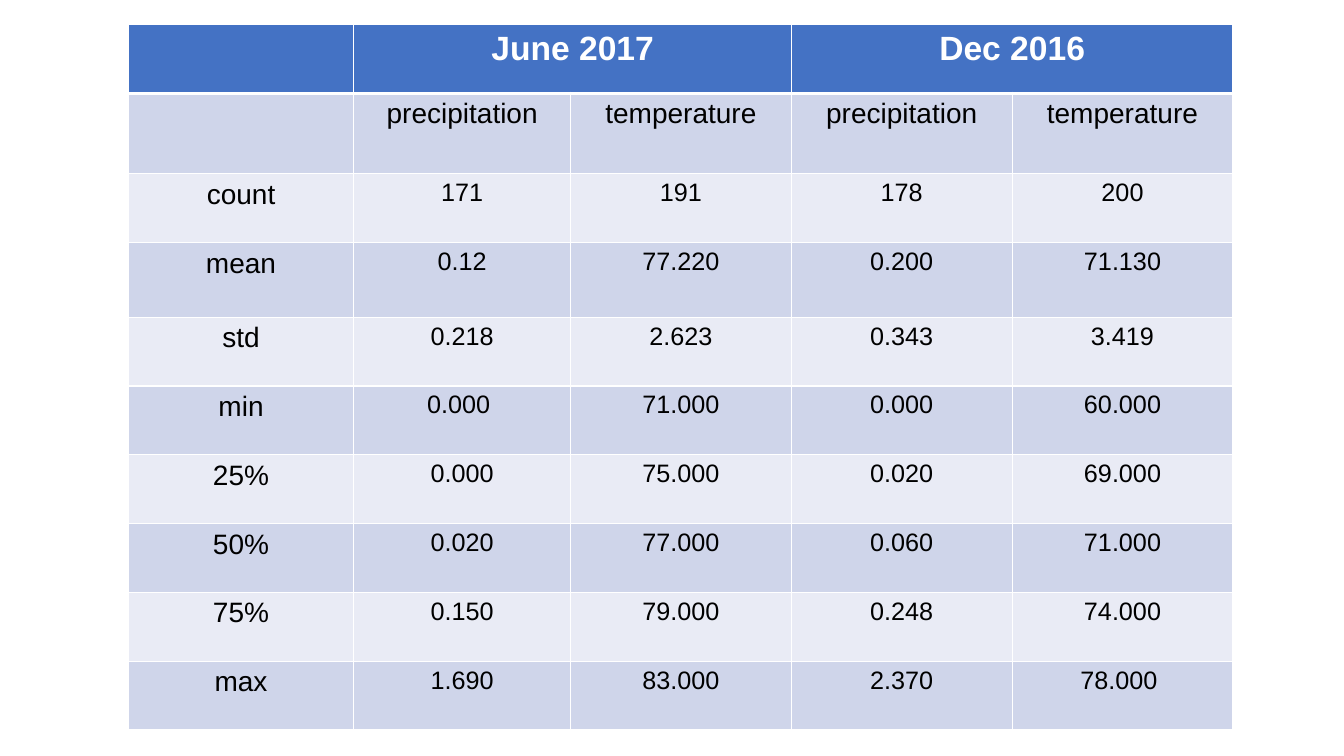
from lxml.etree import SubElement
from pptx import Presentation
from pptx.dml.color import RGBColor as RGB
from pptx.enum.text import PP_ALIGN as Align
from pptx.oxml.ns import qn
from pptx.util import Pt

# Content
MONTHS = ["June 2017", "Dec 2016"]
MEASURES = ["precipitation", "temperature"]
STATS = [
    ("count", "171", "191", "178", "200"),
    ("mean", "0.12", "77.220", "0.200", "71.130"),
    ("std", "0.218", "2.623", "0.343", "3.419"),
    ("min", "0.000 ", "71.000", "0.000", "60.000"),
    ("25%", "0.000", "75.000", "0.020", "69.000"),
    ("50%", "0.020", "77.000", "0.060", "71.000"),
    ("75%", "0.150", "79.000", "0.248", "74.000"),
    ("max", "1.690", "83.000", "2.370", "78.000 "),
]
month_row = [""]
for month in MONTHS:
    month_row += [month, ""]
ROWS = [month_row, [""] + MEASURES * len(MONTHS)] + STATS

# Style and sizes
COLORS = {"header": "4472C4", "dark": "CFD5EA", "light": "E9EBF5",
          "white": "FFFFFF", "black": "000000"}
FONT = "Arial"
LEFT, TOP = 91.6, 17.6
COL_WIDTHS = [161.2, 154.8] + [157.7] * 3
ROW_HEIGHTS = [49.15, 57.5, 49.15, 53.3] + [49.15] * 6


def add_borders(cell, row):
    """White grid, with a thicker rule under the header row."""
    tc_pr = cell._tc.get_or_add_tcPr()
    widths = {"lnL": 1, "lnR": 1, "lnT": 3 if row == 1 else 1, "lnB": 3 if row == 0 else 1}
    for tag, width in widths.items():
        ln = SubElement(tc_pr, qn("a:" + tag), w=str(Pt(width)))
        fill = SubElement(ln, qn("a:solidFill"))
        SubElement(fill, qn("a:srgbClr"), val=COLORS["white"])


def text_style(row, col):
    """Font size and colour by place in the table."""
    if row == 0:
        return 24, "white"
    return (20 if row == 1 or col == 0 else 18), "black"


# Slide
prs = Presentation()
prs.slide_width, prs.slide_height = Pt(960), Pt(540)
s = prs.slides.add_slide(prs.slide_layouts[6])

# Table grid
table = s.shapes.add_table(len(ROWS), len(COL_WIDTHS), Pt(LEFT), Pt(TOP),
                           Pt(sum(COL_WIDTHS)), Pt(sum(ROW_HEIGHTS))).table
for column, width in zip(table.columns, COL_WIDTHS):
    column.width = Pt(width)
for table_row, height in zip(table.rows, ROW_HEIGHTS):
    table_row.height = Pt(height)
for i in range(len(MONTHS)):
    first = 1 + i * len(MEASURES)
    table.cell(0, first).merge(table.cell(0, first + len(MEASURES) - 1))

# Cells
for row, values in enumerate(ROWS):
    band = "header" if row == 0 else "dark" if row % 2 else "light"
    for col, text in enumerate(values):
        cell = table.cell(row, col)
        add_borders(cell, row)
        cell.fill.solid()
        cell.fill.fore_color.rgb = RGB.from_string(COLORS[band])
        if not text:
            continue
        size, color = text_style(row, col)
        p = cell.text_frame.paragraphs[0]
        p.alignment = Align.CENTER
        r = p.add_run()
        r.text = text
        r.font.name, r.font.size, r.font.bold = FONT, Pt(size), row == 0
        r.font.color.rgb = RGB.from_string(COLORS[color])

prs.save("out.pptx")
